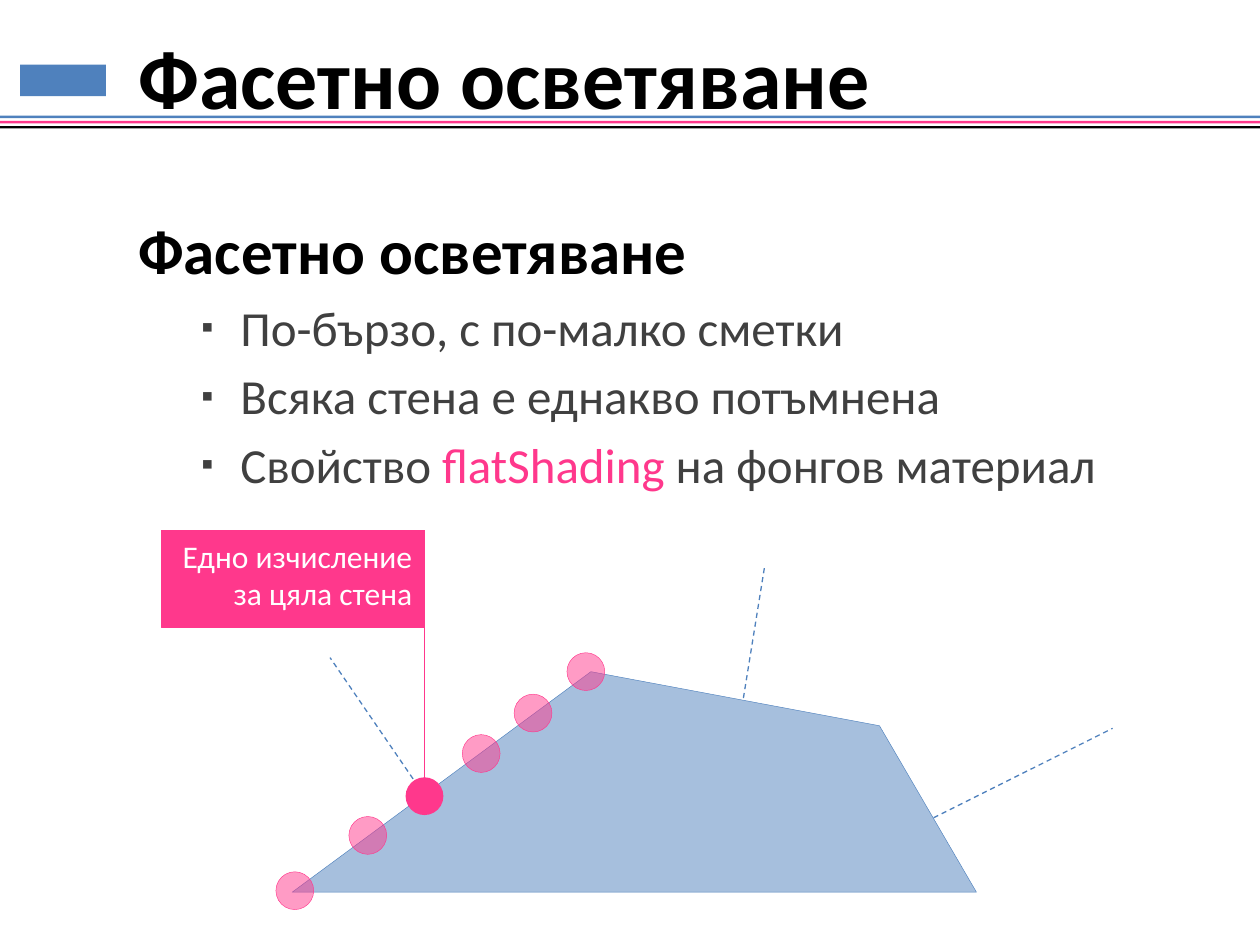
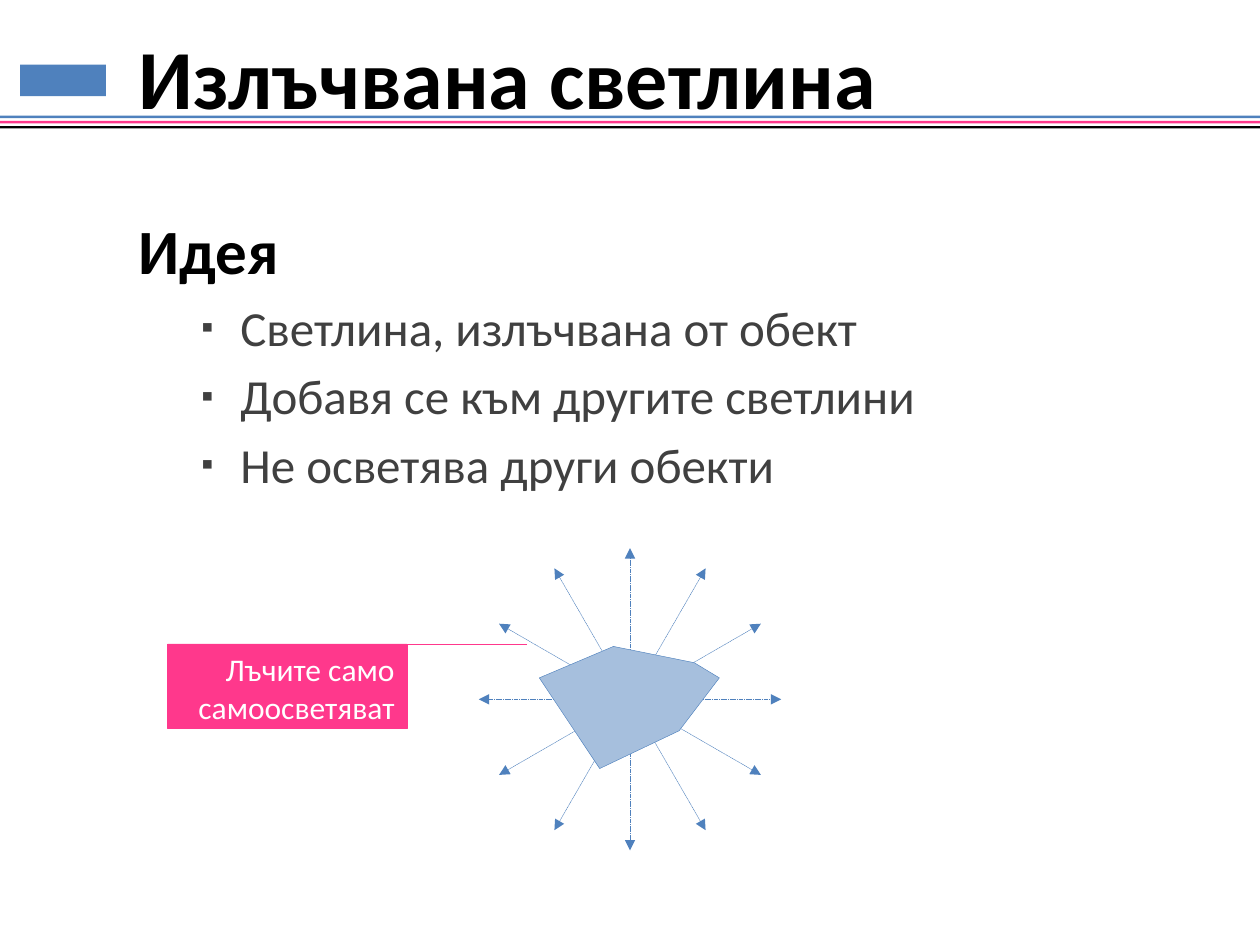
import math

import lxml.etree
import pptx
import pptx.dml.color
import pptx.enum.dml
import pptx.enum.shapes
import pptx.enum.text
import pptx.oxml.ns
import pptx.util

Pt = pptx.util.Pt
qn = pptx.oxml.ns.qn
KIND = pptx.enum.shapes.MSO_SHAPE
ALIGN = pptx.enum.text.PP_ALIGN
ANCHOR = pptx.enum.text.MSO_ANCHOR
DASH = pptx.enum.dml.MSO_LINE

HUES = {
    "blue": "4F81BD",
    "pink": "FF388C",
    "black": "000000",
    "gray": "404040",
    "white": "FFFFFF",
}
WIDE, HIGH = 720, 540
FONT = "Calibri"
DOT = 21.6


def tint(name):
    return pptx.dml.color.RGBColor.from_string(HUES[name])


def child(parent, tag, **attrs):
    return lxml.etree.SubElement(parent, qn(tag), attrs)


def write(frame, *parts, size=18, hue="black", bold=False, align=ALIGN.LEFT,
          lead=None, gap=0, bullet=None):
    para = frame.paragraphs[0]
    if para.runs:
        para = frame.add_paragraph()
    para.alignment = align
    para.space_before = Pt(gap)
    if lead:
        para.line_spacing = lead
    if bullet:
        props = para._p.get_or_add_pPr()
        props.set("marL", str(Pt(58.3)))
        props.set("indent", str(-Pt(22.3)))
        child(child(props, "a:buClr"), "a:srgbClr", val=HUES[hue])
        child(props, "a:buSzPct", val="70000")
        child(props, "a:buFont", typeface="Arial")
        child(props, "a:buChar", char=bullet)
    for part in parts:
        text, shade = (part, hue) if isinstance(part, str) else part
        run = para.add_run()
        run.text = text
        run.font.name = FONT
        run.font.size = Pt(size)
        run.font.bold = bold
        run.font.color.rgb = tint(shade)


def paint(shape, fill, edge=None, alpha=None):
    shape.shadow.inherit = False
    shape.fill.solid()
    shape.fill.fore_color.rgb = tint(fill)
    if alpha:
        shade = shape._element.spPr.find(qn("a:solidFill"))[0]
        child(shade, "a:alpha", val=str(alpha * 1000))
    if edge:
        shape.line.color.rgb = tint(edge)
        shape.line.width = Pt(0.25)
    else:
        shape.line.fill.background()
    return shape


def block(slide, kind, x, y, wide, high, fill, **look):
    shape = slide.shapes.add_shape(kind, Pt(x), Pt(y), Pt(wide), Pt(high))
    return paint(shape, fill, **look)


def facet(slide, points, fill, **look):
    spots = [(Pt(x), Pt(y)) for x, y in points]
    path = slide.shapes.build_freeform(*spots[0], scale=1.0)
    path.add_line_segments(spots[1:], close=True)
    return paint(path.convert_to_shape(), fill, **look)


def link(slide, start, end, hue="blue", width=0.75, dash=None, heads=False):
    line = slide.shapes.add_connector(
        pptx.enum.shapes.MSO_CONNECTOR.STRAIGHT,
        *(Pt(v) for v in (*start, *end)))
    line.line.color.rgb = tint(hue)
    line.line.width = Pt(width)
    if dash:
        line.line.dash_style = dash
    if heads:
        stroke = line.line._get_or_add_ln()
        child(stroke, "a:headEnd", type="triangle")
        child(stroke, "a:tailEnd", type="triangle")
    child(line._element.spPr, "a:effectLst")


def label(slide, text, x, y, wide, high, start, end):
    box = block(slide, KIND.RECTANGLE, x, y, wide, high, "pink", edge="pink")
    frame = box.text_frame
    frame.word_wrap = True
    frame.vertical_anchor = ANCHOR.TOP
    write(frame, text, hue="white", align=ALIGN.RIGHT)
    link(slide, start, end, hue="pink", width=0.25)


def start_slide(deck, title):
    slide = deck.slides.add_slide(deck.slide_layouts[5])
    block(slide, KIND.RECTANGLE, 11.5, 37, 49, 18, "blue")
    for row, hue in enumerate(("blue", "pink", "black")):
        block(slide, KIND.RECTANGLE, 0, 66.1 + 2.95 * row, WIDE, 1.44, hue)
    head = slide.shapes.title
    head.left, head.top, head.width, head.height = (
        Pt(v) for v in (0, 18, WIDE, 51))
    frame = head.text_frame
    frame.margin_left = Pt(79.2)
    frame.vertical_anchor = ANCHOR.MIDDLE
    frame.auto_size = pptx.enum.text.MSO_AUTO_SIZE.NONE
    write(frame, title, size=48, bold=True)
    return slide


def add_list(slide, head, items):
    box = slide.shapes.add_textbox(Pt(72), Pt(95.8), Pt(642), Pt(438))
    frame = box.text_frame
    frame.word_wrap = True
    write(frame, head, size=36, bold=True, lead=1.5)
    for parts in items:
        write(frame, *parts, size=28, hue="gray", gap=5.6, bullet="▪")


def draw_flat(deck):
    slide = start_slide(deck, "Фасетно осветяване")
    add_list(slide, "Фасетно осветяване", [
        ["По-бързо, с по-малко сметки"],
        ["Всяка стена е еднакво потъмнена"],
        ["Свойство ", ("flatShading ", "pink"), "на фонгов материал"],
    ])
    wall = [(337.7, 383.8), (502.6, 414.7), (558, 509.8), (167, 509.8)]
    facet(slide, wall, "blue", edge="blue", alpha=50)
    label(slide, "Едно изчисление за цяла стена", 92.2, 303.1, 150.5, 55.4,
          (242.7, 303.1), (242.7, 445))
    norms = [
        ((424.8, 398.9), (437, 323.3)),
        ((533.5, 467.3), (635.8, 416.2)),
        ((241.9, 453.6), (188.6, 375.8)),
    ]
    for start, end in norms:
        link(slide, start, end, dash=DASH.DASH)
    dots = [(264.2, 419.8), (293.8, 396.7), (324, 373),
            (199.4, 466.6), (157.7, 498.2)]
    for x, y in dots:
        block(slide, KIND.OVAL, x, y, DOT, DOT, "pink", edge="pink", alpha=50)
    block(slide, KIND.OVAL, 231.8, 444.2, DOT, DOT, "pink")


def draw_glow(deck):
    slide = start_slide(deck, "Излъчвана светлина")
    mid_x, mid_y, reach = 360, 399.6, 86.4
    for step in range(6):
        turn = math.radians(30 * step)
        dx, dy = reach * math.cos(turn), reach * math.sin(turn)
        link(slide, (mid_x - dx, mid_y - dy), (mid_x + dx, mid_y + dy),
             width=0.25, dash=DASH.SQUARE_DOT, heads=True)
    gem = [(350.6, 369.4), (396.7, 378.7), (411.1, 387.4),
           (388.1, 417.6), (342.7, 439.2), (308.2, 387.4)]
    facet(slide, gem, "white")
    add_list(slide, "Идея", [
        ["Светлина, излъчвана от обект"],
        ["Добавя се към другите светлини"],
        ["Не осветява други обекти"],
    ])
    facet(slide, gem, "blue", edge="blue", alpha=50)
    label(slide, "Лъчите само самоосветяват", 95.8, 367.9, 136.8, 48.2,
          (105.8, 367.9), (301, 367.9))


def main():
    deck = pptx.Presentation()
    deck.slide_width, deck.slide_height = Pt(WIDE), Pt(HIGH)
    draw_flat(deck)
    draw_glow(deck)
    deck.save("out.pptx")


if __name__ == "__main__":
    main()
